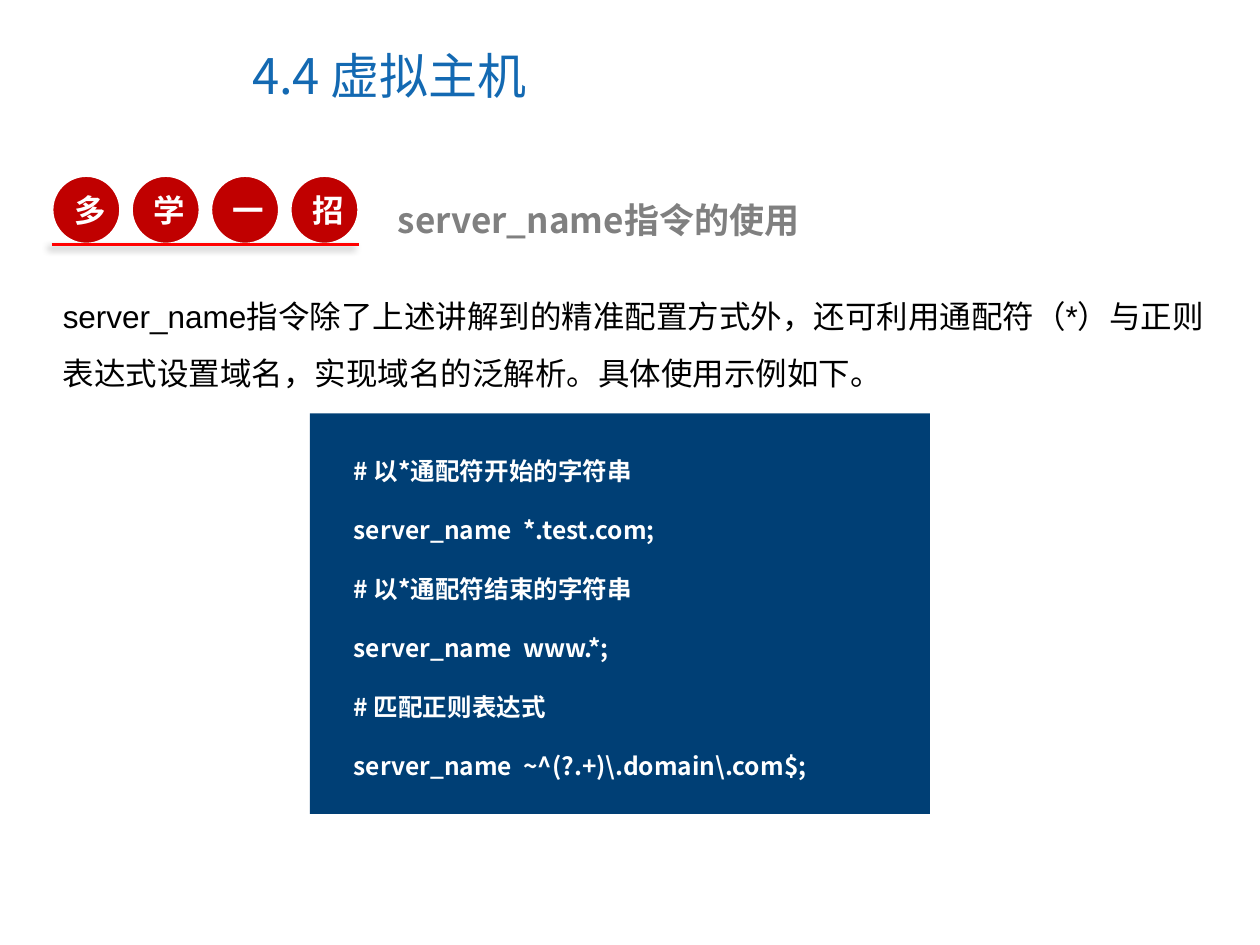
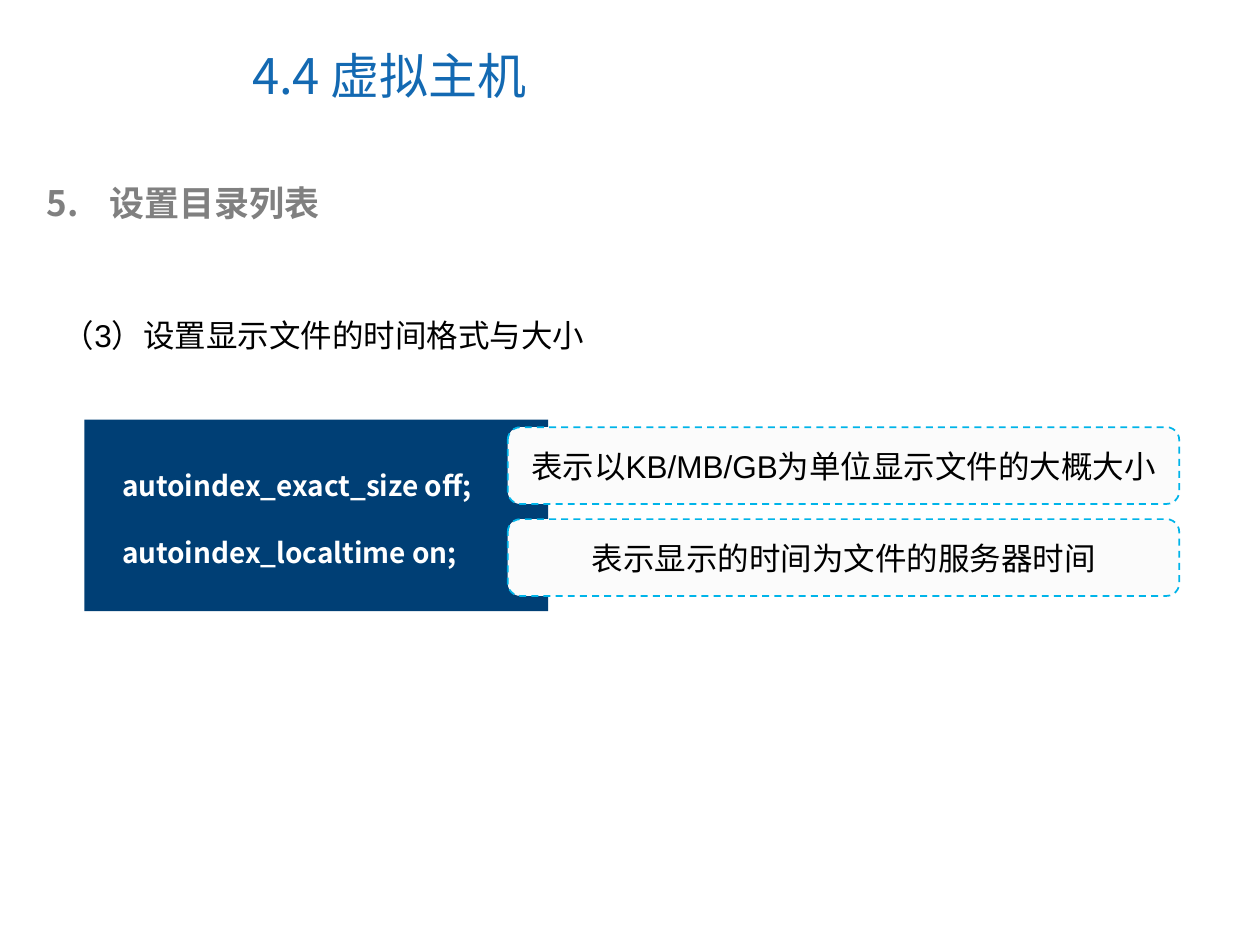
import pptx
import pptx.dml.color
import pptx.enum.dml
import pptx.enum.shapes
import pptx.enum.text
import pptx.oxml
import pptx.oxml.ns
import pptx.util
from pptx.util import Inches

BLUE, NAVY, CYAN = "1369B2", "003F75", "00B4E9"
DARK_RED, RED = "C00000", "FF0000"
WHITE, PALE, GRAY, BLACK = "FFFFFF", "FBFBFB", "808080", "000000"
HEADING_FONT, BODY_FONT = "Noto Sans CJK SC", "Arial"
LEFT, CENTER = pptx.enum.text.PP_ALIGN.LEFT, pptx.enum.text.PP_ALIGN.CENTER
TOP, MIDDLE = pptx.enum.text.MSO_ANCHOR.TOP, pptx.enum.text.MSO_ANCHOR.MIDDLE
SHAPES = pptx.enum.shapes.MSO_SHAPE


def paint(fill, color):
    fill.solid()
    fill.fore_color.rgb = pptx.dml.color.RGBColor.from_string(color)


def write_text(shape, text, size=18, color=BLACK, font=BODY_FONT, bold=False,
               align=LEFT, anchor=TOP, spacing=1.0, number=None):
    frame = shape.text_frame
    frame.word_wrap = True
    frame.vertical_anchor = anchor
    for index, line in enumerate(text.split("\n")):
        paragraph = frame.paragraphs[0] if index == 0 else frame.add_paragraph()
        if number is not None:
            properties = paragraph._p.get_or_add_pPr()
            properties.set("marL", str(Inches(0.5)))
            properties.set("indent", str(Inches(-0.5)))
            numbering = pptx.oxml.ns.qn("a:buAutoNum")
            bullet = properties.makeelement(
                numbering, {"type": "arabicPeriod", "startAt": str(number)})
            properties.append(bullet)
        paragraph.alignment = align
        paragraph.line_spacing = spacing
        run = paragraph.add_run()
        run.text = line
        run.font.size = pptx.util.Pt(size)
        run.font.bold = bold
        run.font.name = font
        paint(run.font.fill, color)
        run_properties = run._r.get_or_add_rPr()
        run_properties.append(run_properties.makeelement(
            pptx.oxml.ns.qn("a:ea"), {"typeface": HEADING_FONT}))


presentation = pptx.Presentation()
presentation.slide_width, presentation.slide_height = Inches(10), Inches(7.5)

# Content of each slide: subheading, introduction and code panel
subheading_style = dict(size=20, color=GRAY, font=HEADING_FONT, bold=True)
pages = [
    dict(
        subheading=("server_name指令的使用", (3.06, 1.53, 6.43, 0.44), None),
        introduction=("server_name指令除了上述讲解到的精准配置方式外，还可利用通配符（*）"
                      "与正则表达式设置域名，实现域名的泛解析。具体使用示例如下。",
                      (0.4, 2.16, 9.34, 0.95), 1.5),
        panel=(2.46, 3.28, 4.92, 3.18),
        code=("# 以*通配符开始的字符串\n"
              "server_name  *.test.com;\n"
              "# 以*通配符结束的字符串\n"
              "server_name  www.*;\n"
              "# 匹配正则表达式\n"
              "server_name  ~^(?.+)\\.domain\\.com$;",
              (2.71, 3.34, 4.67, 2.93), 14),
    ),
    dict(
        subheading=("设置目录列表", (0.27, 1.39, 9.22, 0.44), 5),
        introduction=("（3）设置显示文件的时间格式与大小", (0.4, 2.16, 9.19, 0.61), 2.0),
        panel=(0.67, 3.33, 3.68, 1.52),
        code=("autoindex_exact_size off;\nautoindex_localtime on;",
              (0.87, 3.4, 3.48, 1.18), 16),
    ),
]

# Parts that both slides share
slides = []
for page in pages:
    slide = presentation.slides.add_slide(presentation.slide_layouts[5])
    slides.append(slide)

    title = slide.shapes.title
    title.left, title.top = Inches(1.9), Inches(0.17)
    title.width, title.height = Inches(5.67), Inches(0.85)
    title.text_frame.auto_size = pptx.enum.text.MSO_AUTO_SIZE.NONE
    write_text(title, "4.4 虚拟主机", size=28, color=BLUE, font=HEADING_FONT, anchor=MIDDLE)

    text, place, number = page["subheading"]
    subheading = slide.shapes.add_textbox(*map(Inches, place))
    write_text(subheading, text, number=number, **subheading_style)

    text, place, spacing = page["introduction"]
    introduction = slide.shapes.add_textbox(*map(Inches, place))
    write_text(introduction, text, spacing=spacing)

    panel = slide.shapes.add_shape(SHAPES.RECTANGLE, *map(Inches, page["panel"]))
    panel.shadow.inherit = False
    paint(panel.fill, NAVY)
    panel.line.fill.background()

    text, place, size = page["code"]
    code = slide.shapes.add_textbox(*map(Inches, place))
    write_text(code, text, size=size, color=WHITE, font=HEADING_FONT, bold=True, spacing=2.0)

tip_slide, listing_slide = slides

# Slide 1: badge of four circles on a red line
for index, character in enumerate("多学一招"):
    circle = tip_slide.shapes.add_shape(
        SHAPES.OVAL, Inches(0.41 + index * 0.63), Inches(1.39), Inches(0.55), Inches(0.55))
    circle.shadow.inherit = False
    paint(circle.fill, DARK_RED)
    paint(circle.line.fill, WHITE)
    circle.line.width = pptx.util.Pt(2)
    write_text(circle, character, color=WHITE, font=HEADING_FONT, bold=True,
               align=CENTER, anchor=MIDDLE)

underline = tip_slide.shapes.add_connector(
    pptx.enum.shapes.MSO_CONNECTOR.STRAIGHT,
    Inches(0.41), Inches(1.94), Inches(2.85), Inches(1.94))
paint(underline.line.fill, RED)
underline.line.width = pptx.util.Pt(1.5)
underline._element.spPr.append(pptx.oxml.parse_xml(
    f'<a:effectLst {pptx.oxml.ns.nsdecls("a")}>'
    f'<a:outerShdw blurRad="{pptx.util.Pt(4)}" dist="{pptx.util.Pt(3)}" dir="{135 * 60000}">'
    f'<a:srgbClr val="{BLACK}"><a:alpha val="40000"/></a:srgbClr>'
    '</a:outerShdw></a:effectLst>'))

# Slide 2: one callout beside each directive
explanations = ["表示以KB/MB/GB为单位显示文件的大概大小", "表示显示的时间为文件的服务器时间"]
for index, explanation in enumerate(explanations):
    callout = listing_slide.shapes.add_shape(
        SHAPES.ROUNDED_RECTANGLE,
        Inches(4.03), Inches(3.39 + index * 0.73), Inches(5.33), Inches(0.61))
    callout.shadow.inherit = False
    paint(callout.fill, PALE)
    paint(callout.line.fill, CYAN)
    callout.line.width = pptx.util.Pt(1)
    callout.line.dash_style = pptx.enum.dml.MSO_LINE.DASH
    write_text(callout, explanation, align=CENTER, anchor=MIDDLE)

presentation.save("out.pptx")
